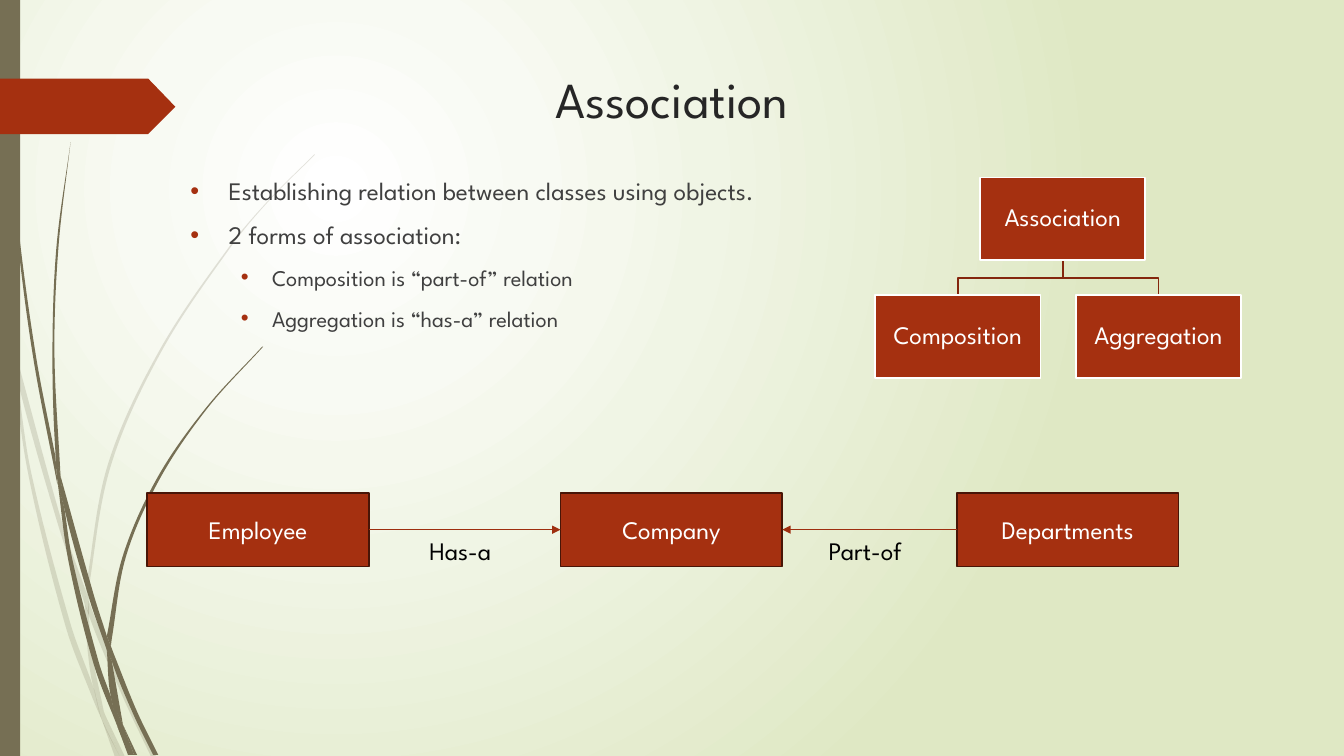
"""Build the Association slide: bullets, a class tree and a relation diagram."""
import math

from lxml import etree
from pptx import Presentation
from pptx import util as u
from pptx.dml.color import RGBColor
from pptx.enum import shapes, text
from pptx.oxml import parse_xml
from pptx.oxml.ns import nsdecls, qn

COLORS = {"olive": "766F54", "rust": "A53010", "edge": "481507", "branch": "84260D", "arrow": "9E2E0F",
          "title": "262626", "body": "404040", "white": "FFFFFF", "black": "000000"}
BACKDROP = [(0, "FFFFFF"), (26, "F8FAF3"), (36, "F5F8ED"), (48, "F0F5E5"), (100, "DFE8C4")]

PALE_BLADES = [
    ([(.11, 3.5), (.09, 3.22), (0, 2.82)], [(0, 2.99), (.1, 3.44)]),
    ([(.14, 3.45), (.17, 3.76), (.58, 5.22), (.84, 5.99)], [(.85, 5.86), (.62, 5.2), (.14, 3.45)]),
    ([(.88, 5.96), (.88, 6.1), (1.23, 6.94), (1.5, 7.51)], [(1.55, 7.51), (1.27, 6.92), (.92, 6.07)]),
    ([(1.05, 7.11), (1.19, 7.51)], [(1.24, 7.51)]),
    ([(.11, 3.5), (.28, 4.7), (.65, 6.21), (.92, 6.93), (1.01, 7.14)],
     [(.99, 7.07), (.93, 6.83), (.7, 6.19), (.31, 4.69), (.17, 3.76)]),
    ([(.84, 5.99), (.87, 6.46), (.93, 6.83), (1.05, 7.11)], [(1.03, 7.06), (.91, 6.46), (.88, 6.08)]),
    ([(.88, 5.96), (.88, 5.84), (1.1, 4.62), (1.6, 3.49), (2.29, 2.45), (2.68, 1.98), (3.12, 1.54)],
     [(3.12, 1.53), (2.68, 1.97), (2.28, 2.44), (1.58, 3.48), (1.07, 4.61), (.85, 5.84)]),
    ([(1.01, 7.14), (1.14, 7.51)], [(1.19, 7.51)]),
    ([(.88, 6.1), (.88, 5.96), (.85, 5.86)], [(.84, 5.99)]),
    ([(.93, 6.83), (1.01, 7.14), (1.19, 7.51)], [(1.05, 7.11), (.96, 6.92)]),
]
DARK_BLADES = [
    ([(.03, 0), (.04, .48), (.07, 1.1), (.17, 2.33), (.33, 3.55), (.57, 4.81)],
     [(.55, 4.53), (.36, 3.55), (.19, 2.32), (.08, 1.09), (.04, 0)]),
    ([(.6, 4.72), (.64, 5.05), (.88, 5.92), (1.06, 6.45)], [(1.06, 6.31), (.93, 5.9), (.6, 4.72)]),
    ([(1.1, 6.41), (1.11, 6.56), (1.32, 7.08), (1.52, 7.49)], [(1.57, 7.49), (1.36, 7.06), (1.13, 6.49)]),
    ([(.57, 4.77), (.68, 5.57), (.93, 6.59), (1.17, 7.22)],
     [(1.1, 6.91), (.98, 6.57), (.72, 5.56), (.64, 5.05)]),
    ([(.7, 1.41), (.56, 2.45), (.52, 3.49), (.55, 4.49), (.6, 4.72)],
     [(.6, 4.72), (.54, 3.49), (.58, 2.45), (.7, 1.41)]),
    ([(1.22, 7.19), (1.33, 7.49)], [(1.36, 7.49)]),
    ([(.55, 4.49), (.57, 4.77), (.64, 5.05)], [(.6, 4.72)]),
    ([(1.1, 6.41), (1.11, 6.33), (1.25, 5.52), (1.58, 4.76), (2.05, 4.06), (2.61, 3.44)],
     [(2.6, 3.44), (2.04, 4.05), (1.56, 4.74), (1.22, 5.51), (1.06, 6.31)]),
    ([(1.17, 7.22), (1.27, 7.49)], [(1.31, 7.49)]),
    ([(1.06, 6.45), (1.1, 6.91), (1.22, 7.19)], [(1.11, 6.56)]),
    ([(1.06, 6.31), (1.06, 6.45), (1.11, 6.56)], [(1.1, 6.41)]),
    ([(1.1, 6.91), (1.17, 7.22), (1.3, 7.49)], [(1.33, 7.49), (1.22, 7.19), (1.16, 7.06)]),
]


def size(inches):
    return u.Cm(inches * 2.54)


def rgb(name):
    return RGBColor.from_string(COLORS[name])


def handle(a, b, c, length):
    k = length / (3 * (math.dist(a, c) or 1))
    return b[0] + (c[0] - a[0]) * k, b[1] + (c[1] - a[1]) * k


class Deck:
    def __init__(self, font):
        self.font = font
        self.prs = Presentation()
        self.prs.slide_width, self.prs.slide_height = size(13.33), size(7.5)
        self.s = self.prs.slides.add_slide(self.prs.slide_layouts[6])

    def background(self, stops):
        self.s.background.fill.solid()
        old = self.s.element.find(".//" + qn("a:solidFill"))
        marks = "".join(f'<a:gs pos="{pos * 1000}"><a:srgbClr val="{color}"/></a:gs>' for pos, color in stops)
        old.getparent().replace(old, parse_xml(
            f'<a:gradFill {nsdecls("a")} rotWithShape="1"><a:gsLst>{marks}</a:gsLst>'
            '<a:path path="circle"><a:fillToRect l="50000" t="50000" r="100000" b="100000"/>'
            '</a:path></a:gradFill>'))

    def paint(self, sp, fill=None, line=None):
        sp.shadow.inherit = False
        if fill:
            sp.fill.solid()
            sp.fill.fore_color.rgb = rgb(fill)
        else:
            sp.fill.background()
        if line:
            sp.line.color.rgb = rgb(line)
            sp.line.width = u.Pt(1.25)
        else:
            sp.line.fill.background()
        return sp

    def outline(self, points, fill=None, line=None):
        pts = [(size(x), size(y)) for x, y in points]
        builder = self.s.shapes.build_freeform(*pts[0])
        builder.add_line_segments(pts[1:], close=fill is not None)
        return self.paint(builder.convert_to_shape(), fill, line)

    def blade(self, out, back, alpha=100):
        sp = self.outline(out + back, "olive")
        color = sp.element.spPr.find(qn("a:solidFill"))[0]
        etree.SubElement(color, qn("a:alpha"), val=str(alpha * 1000))
        steps = list(sp.element.iter(qn("a:moveTo"), qn("a:lnTo")))
        spots = [(int(step[0].get("x")), int(step[0].get("y"))) for step in steps]
        for first, last in ((0, len(out)), (len(out), len(steps))):
            side = spots[first:last]
            side = [side[0], *side, side[-1]]
            for a, b, c, d, step in zip(side, side[1:], side[2:], side[3:], steps[first + 1:last]):
                gap = math.dist(b, c)
                step.tag = qn("a:cubicBezTo")
                for i, (x, y) in enumerate((handle(a, b, c, gap), handle(d, c, b, gap))):
                    step.insert(i, step.makeelement(qn("a:pt"), {"x": str(round(x)), "y": str(round(y))}))

    def style(self, p, pt, color, align=None):
        p.alignment = align
        for r in p.runs:
            r.font.name, r.font.size = self.font, u.Pt(pt)
            r.font.color.rgb = rgb(color)

    def box(self, x, y, w, h, label="", line=None, fill="rust", inset=.05, spacing=None):
        sp = self.s.shapes.add_shape(shapes.MSO_SHAPE.RECTANGLE, *map(size, (x, y, w, h)))
        self.paint(sp, fill, line)
        if label:
            tf = sp.text_frame
            tf.text = label
            tf.vertical_anchor = text.MSO_ANCHOR.MIDDLE
            tf.margin_left = tf.margin_right = tf.margin_top = tf.margin_bottom = size(inset)
            tf.paragraphs[0].line_spacing = spacing
            self.style(tf.paragraphs[0], 18, "white", text.PP_ALIGN.CENTER)
        return sp

    def frame(self, x, y, w, h, wrap=True):
        tf = self.s.shapes.add_textbox(*map(size, (x, y, w, h))).text_frame
        tf.word_wrap = wrap
        return tf

    def caption(self, x, y, w, h, words, pt, color, align=None, wrap=True):
        tf = self.frame(x, y, w, h, wrap)
        tf.text = words
        if not wrap:
            tf.auto_size = text.MSO_AUTO_SIZE.SHAPE_TO_FIT_TEXT
        self.style(tf.paragraphs[0], pt, color, align)

    def bullets(self, x, y, w, h, items):
        tf = self.frame(x, y, w, h)
        for i, (level, words) in enumerate(items):
            p = tf.paragraphs[0] if i == 0 else tf.add_paragraph()
            p.text, p.level, p.space_before = words, level, u.Pt(10)
            self.style(p, (18, 16)[level], "body")
            margin, hang = ((.38, .38), (.81, .31))[level]
            pPr = p._p.get_or_add_pPr()
            pPr.set("marL", str(size(margin)))
            pPr.set("indent", str(-size(hang)))
            etree.SubElement(etree.SubElement(pPr, qn("a:buClr")), qn("a:srgbClr"), val=COLORS["rust"])
            etree.SubElement(pPr, qn("a:buFont"), typeface="Arial")
            etree.SubElement(pPr, qn("a:buChar"), char="•")

    def arrow(self, start, start_side, end, end_side):
        c = self.s.shapes.add_connector(shapes.MSO_CONNECTOR.STRAIGHT, 0, 0, 0, 0)
        c.begin_connect(start, start_side)
        c.end_connect(end, end_side)
        c.line.color.rgb = rgb("arrow")
        c.line.width = u.Pt(.75)
        spPr = c.element.spPr
        etree.SubElement(spPr.find(qn("a:ln")), qn("a:tailEnd"), type="triangle")
        etree.SubElement(spPr, qn("a:effectLst"))


def main():
    d = Deck("League Spartan")
    d.background(BACKDROP)
    for blades, alpha in ((PALE_BLADES, 20), (DARK_BLADES, 100)):
        for out, back in blades:
            d.blade(out, back, alpha)
    d.box(0, 0, .2, 7.5, fill="olive")
    d.outline([(0, .78), (1.47, .78), (1.74, 1.06), (1.47, 1.33), (0, 1.33)], "rust")
    d.caption(1.79, .63, 9.75, 1.4, "Association", 36, "title", text.PP_ALIGN.CENTER)

    root_x, child_y, node_w, node_h = 10.54, 2.93, 1.64, .82
    nodes = [("Association", root_x, 1.76), ("Composition", 9.5, child_y), ("Aggregation", 11.49, child_y)]
    for _, x, y in nodes[1:]:
        d.outline([(root_x, 2.58), (root_x, 2.76), (x, 2.76), (x, y)], line="branch")
    for label, x, y in nodes:
        d.box(x - node_w / 2, y, node_w, node_h, label, "white", inset=.01, spacing=.9)
    d.bullets(1.79, 1.69, 9.75, 4.13, [
        (0, "Establishing relation between classes using objects."), (0, "2 forms of association:"),
        (1, "Composition is “part-of” relation"), (1, "Aggregation is “has-a” relation")])

    company, departments, employee = [
        d.box(x, 4.89, 2.2, .73, label, "edge")
        for label, x in (("Company", 5.56), ("Departments", 9.49), ("Employee", 1.46))]
    d.arrow(departments, 1, company, 3)
    d.arrow(employee, 3, company, 1)
    for label, x, w in (("Has-a", 4.16, .9), ("Part-of", 8.12, 1.01)):
        d.caption(x, 5.26, w, .4, label, 18, "black", wrap=False)
    d.prs.save("out.pptx")


if __name__ == "__main__":
    main()
